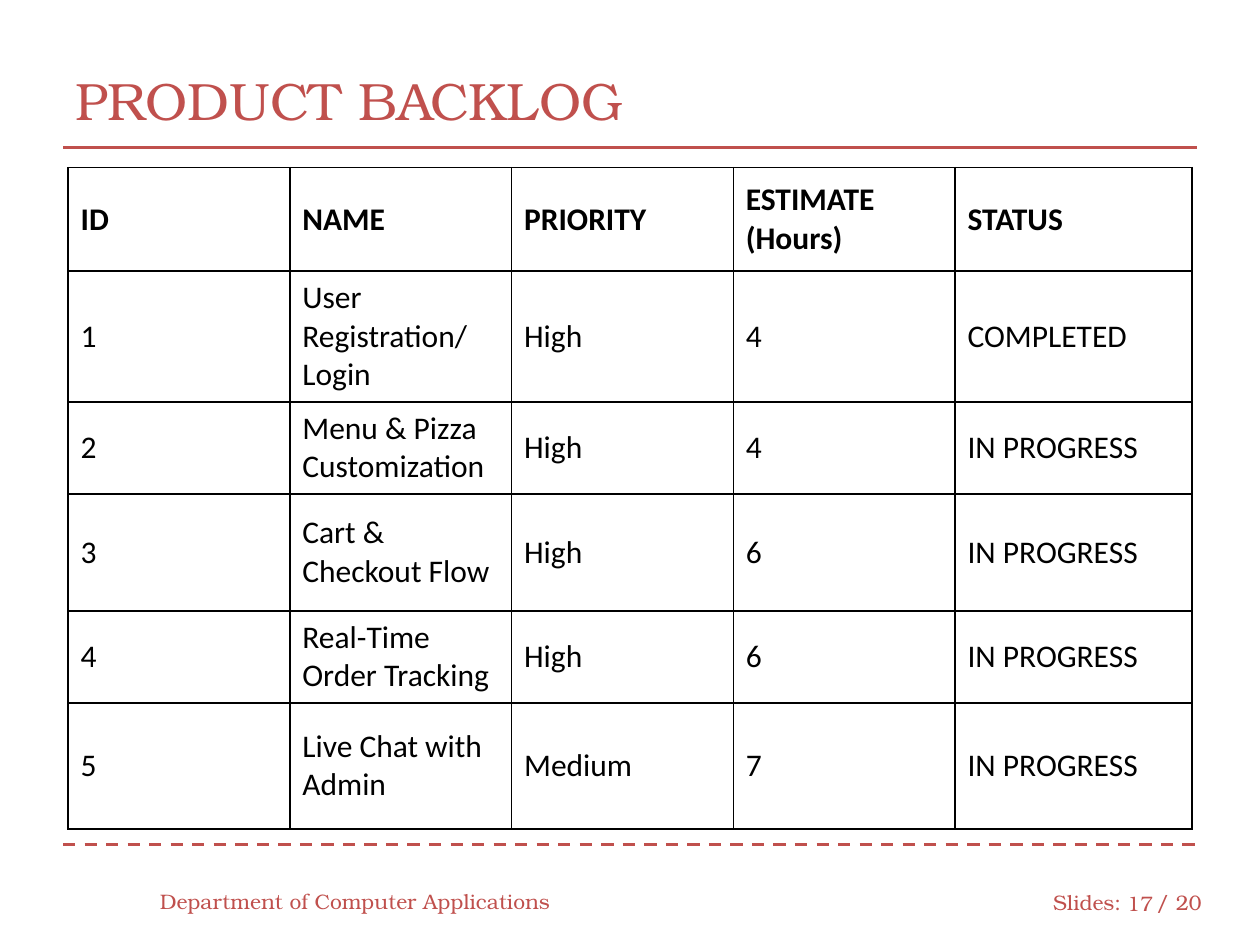
from lxml import etree
from pptx import Presentation, util as u
from pptx.dml.color import RGBColor
from pptx.enum import dml, shapes, text
from pptx.oxml.ns import qn

RED, BLACK, WHITE = "C0504D", "000000", "FFFFFF"
SERIF, SANS = "TeX Gyre Bonum", "Calibri"
LEFT, RIGHT = text.PP_ALIGN.LEFT, text.PP_ALIGN.RIGHT

BACKLOG = [
    ("ID", "NAME", "PRIORITY", "ESTIMATE (Hours)", "STATUS"),
    ("1", "User Registration/ Login", "High", "4", "COMPLETED"),
    ("2", "Menu & Pizza Customization", "High", "4", "IN PROGRESS"),
    ("3", "Cart & Checkout Flow", "High", "6", "IN PROGRESS"),
    ("4", "Real-Time Order Tracking", "High", "6", "IN PROGRESS"),
    ("5", "Live Chat with Admin", "Medium", "7", "IN PROGRESS"),
]
COLUMN_WIDTHS = [1.76] * 4 + [1.88]
ROW_HEIGHTS = [0.82, 1.04, 0.73, 0.93, 0.73, 1]
TABLE_LEFT, TABLE_TOP = 0.54, 1.33

LABELS = [
    ("PRODUCT BACKLOG", (0.5, 0.33, 9, 0.92), 30, LEFT),
    ("Department of Computer Applications", (1.17, 6.95, 3.33, 0.4), 12, LEFT),
    ("Slides:", (8.26, 6.96, 0.75, 0.4), 12, LEFT),
    ("17", (8.83, 6.97, 0.42, 0.4), 12, RIGHT),
    ("/ 20", (9.08, 6.96, 0.58, 0.4), 12, LEFT),
]
RULES = [(1.17, dml.MSO_LINE.SOLID), (6.7, dml.MSO_LINE.DASH)]
MARGIN = 0.5


def color(hex_value):
    return RGBColor.from_string(hex_value)


def style(paragraph, font_name, size, hex_value, bold=False):
    for run in paragraph.runs:
        run.font.name = font_name
        run.font.size = u.Pt(size)
        run.font.bold = bold
        run.font.color.rgb = color(hex_value)


def add_label(slide, wording, box, size, alignment):
    frame = slide.shapes.add_textbox(*map(u.Inches, box)).text_frame
    frame.word_wrap = True
    frame.vertical_anchor = text.MSO_ANCHOR.MIDDLE
    frame.text = wording
    frame.paragraphs[0].alignment = alignment
    style(frame.paragraphs[0], SERIF, size, RED)


def add_rule(slide, y, dash):
    rule = slide.shapes.add_connector(
        shapes.MSO_CONNECTOR.STRAIGHT,
        u.Inches(MARGIN), u.Inches(y), u.Inches(10 - MARGIN), u.Inches(y))
    rule.line.color.rgb = color(RED)
    rule.line.width = u.Pt(1.75)
    rule.line.dash_style = dash
    etree.SubElement(rule._element.spPr, qn("a:effectLst"))


def add_borders(cell):
    properties = cell._tc.get_or_add_tcPr()
    for position, side in enumerate(("a:lnL", "a:lnR", "a:lnT", "a:lnB")):
        border = etree.Element(qn(side), w=str(u.Pt(1)))
        fill = etree.SubElement(border, qn("a:solidFill"))
        etree.SubElement(fill, qn("a:srgbClr"), val=BLACK)
        properties.insert(position, border)


def add_backlog(slide):
    backlog = slide.shapes.add_table(
        len(ROW_HEIGHTS), len(COLUMN_WIDTHS),
        u.Inches(TABLE_LEFT), u.Inches(TABLE_TOP),
        u.Inches(sum(COLUMN_WIDTHS)), u.Inches(sum(ROW_HEIGHTS))).table
    for column, width in zip(backlog.columns, COLUMN_WIDTHS):
        column.width = u.Inches(width)
    for row, height in zip(backlog.rows, ROW_HEIGHTS):
        row.height = u.Inches(height)
    for r, entries in enumerate(BACKLOG):
        for c, entry in enumerate(entries):
            cell = backlog.cell(r, c)
            cell.text = entry
            cell.vertical_anchor = text.MSO_ANCHOR.MIDDLE
            cell.fill.solid()
            cell.fill.fore_color.rgb = color(WHITE)
            style(cell.text_frame.paragraphs[0], SANS, 18, BLACK, bold=r == 0)
            add_borders(cell)


def main():
    deck = Presentation()
    deck.slide_width, deck.slide_height = u.Inches(10), u.Inches(7.5)
    slide = deck.slides.add_slide(deck.slide_layouts[6])
    for rule in RULES:
        add_rule(slide, *rule)
    for label in LABELS:
        add_label(slide, *label)
    add_backlog(slide)
    deck.save("out.pptx")


if __name__ == "__main__":
    main()
